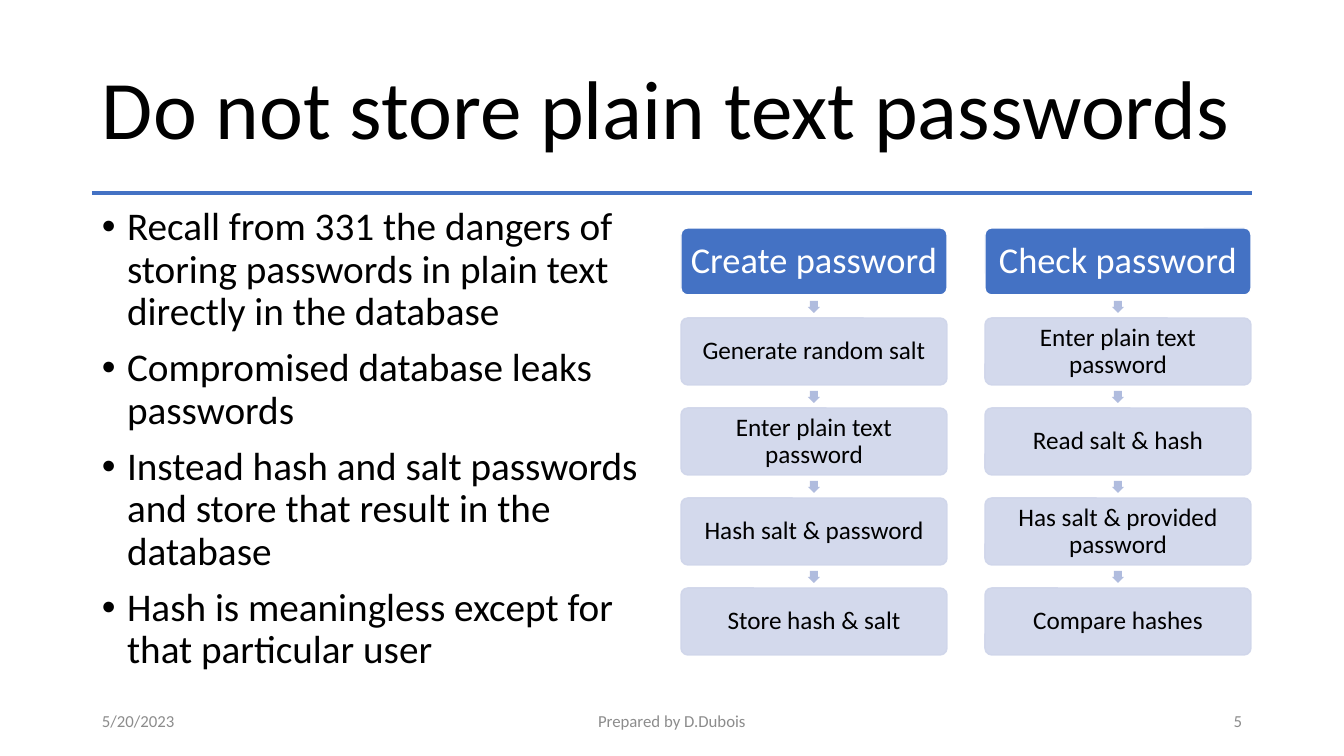
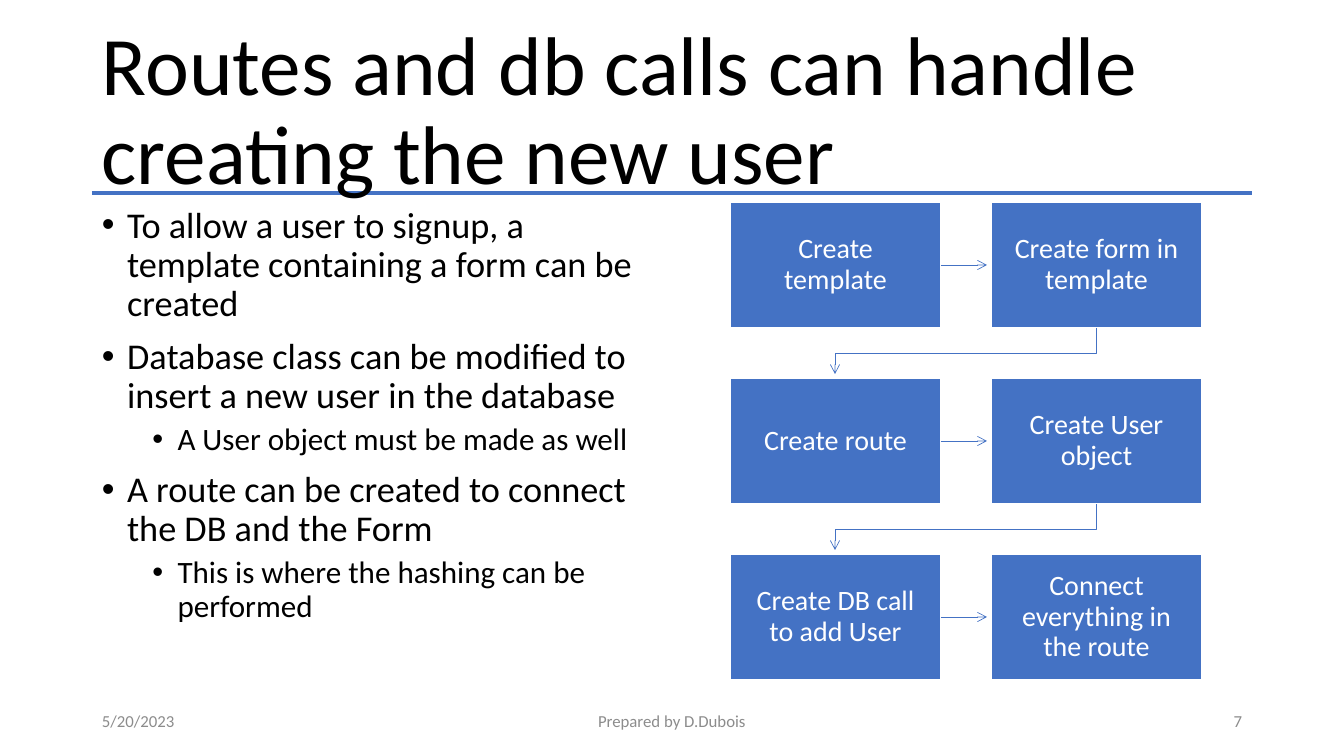
import pptx
import pptx.dml.color
import pptx.enum.dml
import pptx.enum.shapes
import pptx.enum.text
import pptx.oxml
import pptx.oxml.ns
import pptx.util

EMU_PER_PIXEL = 914400 / 100.8
FONT = "Calibri"
BLUE, PALE_BLUE, ARROW_BLUE = "4472C4", "CFD5EA", "B0BCDE"
BLACK, WHITE, GREY = "000000", "FFFFFF", "8C8C8C"
CONTENT_LEFT, CONTENT_WIDTH = 92, 1160
SHAPES = pptx.enum.shapes.MSO_SHAPE
ALIGN = pptx.enum.text.PP_ALIGN
ANCHOR = pptx.enum.text.MSO_ANCHOR

PASSWORD_POINTS = [
    (0, "Recall from 331 the dangers of storing passwords in plain text directly in the database"),
    (0, "Compromised database leaks passwords"),
    (0, "Instead hash and salt passwords and store that result in the database"),
    (0, "Hash is meaningless except for that particular user"),
]
PASSWORD_FLOWS = [
    ("Create password", "Generate random salt", "Enter plain text password",
     "Hash salt & password", "Store hash & salt"),
    ("Check password", "Enter plain text password", "Read salt & hash",
     "Has salt & provided password", "Compare hashes"),
]
ROUTE_POINTS = [
    (0, "To allow a user to signup, a template containing a form can be created"),
    (0, "Database class can be modified to insert a new user in the database"),
    (1, "A User object must be made as well"),
    (0, "A route can be created to connect the DB and the Form"),
    (1, "This is where the hashing can be performed"),
]
ROUTE_STEPS = [
    ("Create template", "Create form in template"),
    ("Create route", "Create User object"),
    ("Create DB call to add User", "Connect everything in the route"),
]


def px(length):
    """Turn pixels into EMU."""
    return pptx.util.Emu(round(length * EMU_PER_PIXEL))


def paint(color_format, color, opacity=100):
    """Set a solid colour from a hex string, with an optional opacity in percent."""
    color_format.rgb = pptx.dml.color.RGBColor.from_string(color)
    if opacity < 100:
        for node in color_format._xFill.iter(pptx.oxml.ns.qn("a:srgbClr")):
            add_node(node, "a:alpha", val=opacity * 1000)


def add_node(parent, tag, **attributes):
    """Append an XML element with the given attributes."""
    node = pptx.oxml.parse_xml(f"<{tag} {pptx.oxml.ns.nsdecls('a')}/>")
    for name, value in attributes.items():
        node.set(name, str(value))
    parent.append(node)


def style_paragraph(paragraph, text, size, color, align=ALIGN.LEFT, spacing=None):
    """Fill one paragraph and set its font."""
    paragraph.text = text
    paragraph.alignment = align
    if spacing:
        paragraph.line_spacing = spacing
    paragraph.font.name = FONT
    paragraph.font.size = pptx.util.Pt(size)
    paint(paragraph.font.fill_color if hasattr(paragraph.font, "fill_color") else paragraph.font.color, color)


def set_frame(shape, anchor, inset=None):
    """Make the text wrap, anchor it and set equal insets."""
    frame = shape.text_frame
    frame.word_wrap = True
    frame.vertical_anchor = anchor
    if inset is not None:
        frame.margin_left = frame.margin_right = px(inset)
        frame.margin_top = frame.margin_bottom = px(inset)
    return frame


def add_text(slide, box, text, size, color, align=ALIGN.LEFT, spacing=None):
    """Add a one-paragraph text box, centred vertically."""
    shape = slide.shapes.add_textbox(*map(px, box))
    frame = set_frame(shape, ANCHOR.MIDDLE)
    style_paragraph(frame.paragraphs[0], text, size, color, align, spacing)


def add_box(slide, kind, box, fill, line=None, opacity=100):
    """Add a flat preset shape."""
    shape = slide.shapes.add_shape(kind, *map(px, box))
    shape.shadow.inherit = False
    shape.fill.solid()
    paint(shape.fill.fore_color, fill, opacity)
    if line:
        shape.line.width = pptx.util.Pt(1)
        paint(shape.line.color, line, opacity)
    else:
        shape.line.fill.background()
    return shape


def label_box(shape, text, size, color, inset):
    """Write a centred label in a shape."""
    frame = set_frame(shape, ANCHOR.MIDDLE, inset)
    style_paragraph(frame.paragraphs[0], text, size, color, ALIGN.CENTER, 0.9)


def style_line(shape, width, arrow=False):
    """Give a line the accent colour and an optional arrowhead."""
    shape.line.width = pptx.util.Pt(width)
    paint(shape.line.color, BLUE)
    if arrow:
        line_node = next(shape.element.iter(pptx.oxml.ns.qn("a:ln")))
        add_node(line_node, "a:tailEnd", type="arrow")


def add_line(slide, left, top, right, bottom, width, arrow=False):
    """Add a straight connector without shadow."""
    connector = slide.shapes.add_connector(
        pptx.enum.shapes.MSO_CONNECTOR.STRAIGHT, *map(px, (left, top, right, bottom)))
    style_line(connector, width, arrow)
    add_node(connector.element.spPr, "a:effectLst")
    return connector


def add_bullets(slide, box, points, sizes):
    """Add the bulleted body, with one font size for each level."""
    shape = slide.shapes.add_textbox(*map(px, box))
    frame = set_frame(shape, ANCHOR.TOP)
    for index, (level, text) in enumerate(points):
        paragraph = frame.paragraphs[0] if index == 0 else frame.add_paragraph()
        paragraph.level = level
        properties = paragraph._p.get_or_add_pPr()
        properties.set("marL", str(228600 + 457200 * level))
        properties.set("indent", "-228600")
        add_node(properties, "a:buFont", typeface="Arial")
        add_node(properties, "a:buChar", char="•")
        paragraph.space_before = pptx.util.Pt(5 if level else 10)
        style_paragraph(paragraph, text, sizes[level], BLACK, spacing=0.9)


def add_footer(slide, box, number):
    """Add date, author and slide number along the bottom."""
    left, top, width, height = box
    side, middle = 302, 454
    parts = [
        (left, side, "5/20/2023", ALIGN.LEFT),
        (left + (width - middle) // 2, middle, "Prepared by D.Dubois", ALIGN.CENTER),
        (left + width - side, side, str(number), ALIGN.RIGHT),
    ]
    for part_left, part_width, text, align in parts:
        add_text(slide, (part_left, top, part_width, height), text, 12, GREY, align)


def add_content_slide(presentation, title, points, sizes, number):
    """Add a slide with title, rule, bullets and footer."""
    slide = presentation.slides.add_slide(presentation.slide_layouts[6])
    add_line(slide, CONTENT_LEFT, 193, CONTENT_LEFT + CONTENT_WIDTH, 193, 3)
    add_text(slide, (CONTENT_LEFT, 40, CONTENT_WIDTH, 146), title, 59.4, BLACK, spacing=0.9)
    add_bullets(slide, (CONTENT_LEFT, 202, 572, 480), points, sizes)
    add_footer(slide, (CONTENT_LEFT, 701, CONTENT_WIDTH, 40), number)
    return slide


def add_step_column(slide, box, steps):
    """Stack a heading and its steps, with a small arrow in each gap."""
    left, top, width, height = box
    step_height, arrow_size = 67, 12
    pitch = (height - step_height) // (len(steps) - 1)
    for index, text in enumerate(steps):
        step_top = top + index * pitch
        step_box = (left, step_top, width, step_height)
        if index == 0:
            shape = add_box(slide, SHAPES.ROUNDED_RECTANGLE, step_box, BLUE, WHITE)
            label_box(shape, text, 26, WHITE, 4)
        else:
            arrow_top = step_top - (pitch - step_height + arrow_size) // 2
            arrow = add_box(slide, SHAPES.DOWN_ARROW,
                            (left + (width - arrow_size) // 2, arrow_top, arrow_size, arrow_size),
                            ARROW_BLUE)
            arrow.adjustments[0] = 0.67
            shape = add_box(slide, SHAPES.ROUNDED_RECTANGLE, step_box, PALE_BLUE, PALE_BLUE, 90)
            label_box(shape, text, 18, BLACK, 3)
        shape.adjustments[0] = 0.1


def add_password_flows(slide, box, flows):
    """Place the step columns side by side."""
    left, top, width, height = box
    gap = 38
    column_width = (width - gap * (len(flows) - 1)) // len(flows)
    for index, steps in enumerate(flows):
        column_left = left + index * (column_width + gap)
        add_step_column(slide, (column_left, top, column_width, height), steps)


def add_return_arrow(slide, start, end):
    """Draw an arrow that steps down, runs back and ends on the next row."""
    middle = (start[1] + end[1] + 4) // 2
    builder = slide.shapes.build_freeform(*start, scale=EMU_PER_PIXEL)
    builder.add_line_segments([(start[0], middle), (end[0], middle), end], close=False)
    shape = builder.convert_to_shape()
    shape.shadow.inherit = False
    shape.fill.background()
    style_line(shape, 0.5, arrow=True)


def add_route_grid(slide, box, rows):
    """Place the steps in rows, joined by arrows in reading order."""
    left, top, width, height = box
    gap, clearance = 50, 4
    step_width = (width - gap) // 2
    step_height = (height - gap * (len(rows) - 1)) // len(rows)
    right = left + step_width + gap
    for index, row in enumerate(rows):
        row_top = top + index * (step_height + gap)
        shapes = []
        for step_left, text in zip((left, right), row):
            shape = add_box(slide, SHAPES.RECTANGLE,
                            (step_left, row_top, step_width, step_height), BLUE, WHITE)
            label_box(shape, text, 20, WHITE, 16)
            shapes.append(shape)
        middle = row_top + step_height // 2
        arrow = add_line(slide, left + step_width, middle, right - clearance, middle, 0.5, arrow=True)
        arrow.begin_connect(shapes[0], 3)
        if index < len(rows) - 1:
            bottom = row_top + step_height
            add_return_arrow(slide, (right + step_width // 2, bottom),
                             (left + step_width // 2, bottom + gap - clearance))


def main():
    """Build and save the presentation."""
    presentation = pptx.Presentation()
    presentation.slide_width, presentation.slide_height = px(1344), px(756)
    slide = add_content_slide(presentation, "Do not store plain text passwords",
                              PASSWORD_POINTS, (28, 24), 5)
    add_password_flows(slide, (681, 228, 570, 427), PASSWORD_FLOWS)
    slide = add_content_slide(presentation, "Routes and db calls can handle creating the new user",
                              ROUTE_POINTS, (25.9, 22.2), 7)
    add_route_grid(slide, (730, 202, 472, 478), ROUTE_STEPS)
    presentation.save("out.pptx")


if __name__ == "__main__":
    main()
